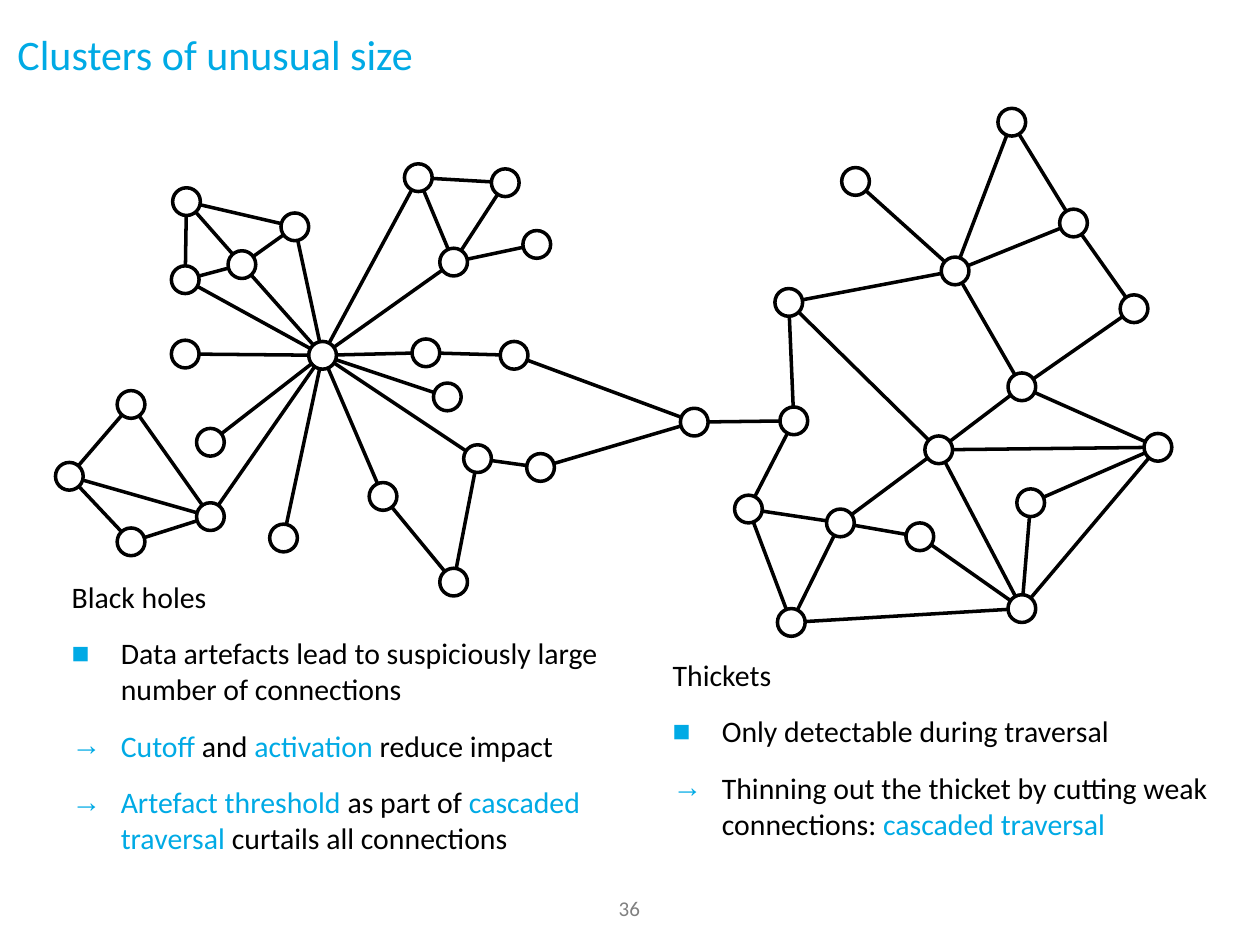
from math import hypot

from lxml.etree import SubElement
from pptx import Presentation
from pptx.dml.color import RGBColor
from pptx.enum.shapes import MSO_CONNECTOR, MSO_SHAPE
from pptx.enum.text import MSO_ANCHOR, PP_ALIGN
from pptx.oxml.ns import qn
from pptx.util import Inches, Pt

COLORS = {"accent": "00AAE5", "ink": "000000", "paper": "FFFFFF", "muted": "808080"}
FONT = "Calibri"
RADIUS = 0.11
LINE_WIDTH = 2
BULLET_INDENT = 0.39

BLACK_HOLE_NODES = {
    "clique top": (1.08, 0.40), "clique right": (1.94, 0.60),
    "clique middle": (1.52, 0.90), "clique bottom": (1.07, 1.02),
    "fan left": (2.92, 0.21), "fan right": (3.61, 0.25),
    "fan base": (3.20, 0.88), "fan tip": (3.86, 0.74),
    "chain near": (2.98, 1.60), "chain far": (3.68, 1.62),
    "leaf west": (1.07, 1.61), "leaf southwest": (1.27, 2.31),
    "leaf east": (3.15, 1.95), "leaf south": (1.85, 3.07),
    "kite top": (0.64, 2.01), "kite left": (0.15, 2.58),
    "kite bottom": (0.64, 3.10), "kite right": (1.27, 2.90),
    "loop left": (2.64, 2.74), "loop bottom": (3.20, 3.42),
    "loop right": (3.39, 2.44), "loop exit": (3.89, 2.51),
    "hub": (2.16, 1.62),
}
SPOKES = [
    "clique right", "clique middle", "clique bottom", "fan left", "fan base",
    "chain near", "leaf west", "leaf southwest", "leaf east", "leaf south",
    "kite right", "loop left", "loop right",
]
BLACK_HOLE_EDGES = [("hub", spoke) for spoke in SPOKES] + [
    ("clique top", "clique right"), ("clique top", "clique middle"),
    ("clique top", "clique bottom"), ("clique middle", "clique right"),
    ("clique middle", "clique bottom"),
    ("fan left", "fan right"), ("fan left", "fan base"),
    ("fan right", "fan base"), ("fan base", "fan tip"),
    ("chain near", "chain far"),
    ("kite top", "kite left"), ("kite left", "kite bottom"),
    ("kite bottom", "kite right"), ("kite top", "kite right"),
    ("kite left", "kite right"),
    ("loop left", "loop bottom"), ("loop bottom", "loop right"),
    ("loop right", "loop exit"),
]

THICKET_NODES = {
    "peak": (2.63, 0.17), "roof": (3.12, 0.97), "spur": (1.39, 0.64),
    "crown": (2.18, 1.35), "east": (3.60, 1.65), "middle": (2.71, 2.27),
    "west": (0.86, 1.60), "core": (2.05, 2.77), "far east": (3.79, 2.75),
    "inner": (2.78, 3.19), "base": (2.71, 4.03), "gate": (0.11, 2.55),
    "entry": (0.90, 2.54), "southwest": (0.54, 3.24), "south": (0.88, 4.14),
    "cross": (1.27, 3.35), "link": (1.90, 3.46),
}
THICKET_EDGES = [
    ("peak", "roof"), ("peak", "crown"), ("roof", "crown"), ("roof", "east"),
    ("crown", "spur"), ("crown", "middle"), ("crown", "west"),
    ("east", "middle"), ("middle", "core"), ("middle", "far east"),
    ("core", "west"), ("core", "far east"), ("core", "cross"), ("core", "base"),
    ("far east", "inner"), ("far east", "base"), ("inner", "base"),
    ("link", "base"), ("link", "cross"), ("base", "south"),
    ("cross", "south"), ("cross", "southwest"), ("south", "southwest"),
    ("southwest", "entry"), ("entry", "west"), ("entry", "gate"),
]
BRIDGES = [("chain far", "gate"), ("loop exit", "gate")]

BLACK_HOLE_NOTES = [
    ("", [("Black holes", "ink")]),
    ("■", [("Data artefacts lead to suspiciously large number of connections", "ink")]),
    ("→", [("Cutoff", "accent"), (" and ", "ink"), ("activation", "accent"),
           (" reduce impact", "ink")]),
    ("→", [("Artefact threshold", "accent"), (" as part of ", "ink"),
           ("cascaded traversal", "accent"), (" curtails all connections", "ink")]),
]
THICKET_NOTES = [
    ("", [("Thickets", "ink")]),
    ("■", [("Only detectable during traversal", "ink")]),
    ("→", [("Thinning out the thicket by cutting weak connections: ", "ink"),
           ("cascaded traversal", "accent")]),
]


def color(name):
    return RGBColor.from_string(COLORS[name])


def style_span(span, size, name):
    span.font.name = FONT
    span.font.size = Pt(size)
    span.font.color.rgb = color(name)


def add_edge(page, start, end, start_gap=RADIUS):
    run, rise = end[0] - start[0], end[1] - start[1]
    length = hypot(run, rise)
    across, down = run / length, rise / length
    edge = page.shapes.add_connector(
        MSO_CONNECTOR.STRAIGHT,
        Inches(start[0] + start_gap * across), Inches(start[1] + start_gap * down),
        Inches(end[0] - RADIUS * across), Inches(end[1] - RADIUS * down))
    edge.line.color.rgb = color("ink")
    edge.line.width = Pt(LINE_WIDTH)
    SubElement(edge.element.spPr, qn("a:effectLst"))


def add_node(page, center, filled):
    node = page.shapes.add_shape(
        MSO_SHAPE.OVAL, Inches(center[0] - RADIUS), Inches(center[1] - RADIUS),
        Inches(2 * RADIUS), Inches(2 * RADIUS))
    node.shadow.inherit = False
    if filled:
        node.fill.solid()
        node.fill.fore_color.rgb = color("paper")
    else:
        node.fill.background()
    node.line.color.rgb = color("ink")
    node.line.width = Pt(LINE_WIDTH)


def add_cluster(page, left, top, nodes, edges):
    centers = {name: (left + x, top + y) for name, (x, y) in nodes.items()}
    for start, end in edges:
        start_gap = 0 if start == "hub" else RADIUS
        add_edge(page, centers[start], centers[end], start_gap)
    for name, center in centers.items():
        add_node(page, center, name == "hub")
    return centers


def add_label(page, left, top, width, height, text, size, name):
    box = page.shapes.add_textbox(Inches(left), Inches(top), Inches(width), Inches(height))
    frame = box.text_frame
    frame.word_wrap = True
    frame.vertical_anchor = MSO_ANCHOR.MIDDLE
    frame.text = text
    style_span(frame.paragraphs[0].runs[0], size, name)
    return frame


def add_page_number(page, left, top, width, height):
    frame = add_label(page, left, top, width, height, "36", 12, "muted")
    frame.margin_top = frame.margin_bottom = 0
    frame.paragraphs[0].alignment = PP_ALIGN.CENTER


def add_bullet(para, mark):
    para.space_before = Pt(12)
    properties = para._p.get_or_add_pPr()
    properties.set("marL", str(Inches(BULLET_INDENT)))
    properties.set("indent", str(-Inches(BULLET_INDENT)))
    bullet_color = SubElement(properties, qn("a:buClr"))
    SubElement(bullet_color, qn("a:srgbClr"), val=COLORS["accent"])
    SubElement(properties, qn("a:buFont"), typeface="Arial")
    SubElement(properties, qn("a:buChar"), char=mark)


def add_notes(page, left, top, width, height, notes):
    box = page.shapes.add_textbox(Inches(left), Inches(top), Inches(width), Inches(height))
    frame = box.text_frame
    frame.word_wrap = True
    for index, (mark, spans) in enumerate(notes):
        para = frame.add_paragraph() if index else frame.paragraphs[0]
        if mark:
            add_bullet(para, mark)
        for text, name in spans:
            span = para.add_run()
            span.text = text
            style_span(span, 17, name)


def main():
    deck = Presentation()
    deck.slide_width, deck.slide_height = Inches(10), Inches(7.5)
    page = deck.slides.add_slide(deck.slide_layouts[6])
    add_label(page, 0.04, 0.17, 9.61, 0.51, "Clusters of unusual size", 24, "accent")
    add_page_number(page, 3.83, 7.13, 2.33, 0.16)
    black_hole = add_cluster(page, 0.4, 1.2, BLACK_HOLE_NODES, BLACK_HOLE_EDGES)
    thicket = add_cluster(page, 5.4, 0.8, THICKET_NODES, THICKET_EDGES)
    for start, end in BRIDGES:
        add_edge(page, black_hole[start], thicket[end])
    add_notes(page, 0.47, 4.54, 4.45, 2.32, BLACK_HOLE_NOTES)
    add_notes(page, 5.24, 5.16, 4.45, 1.58, THICKET_NOTES)
    deck.save("out.pptx")


if __name__ == "__main__":
    main()
